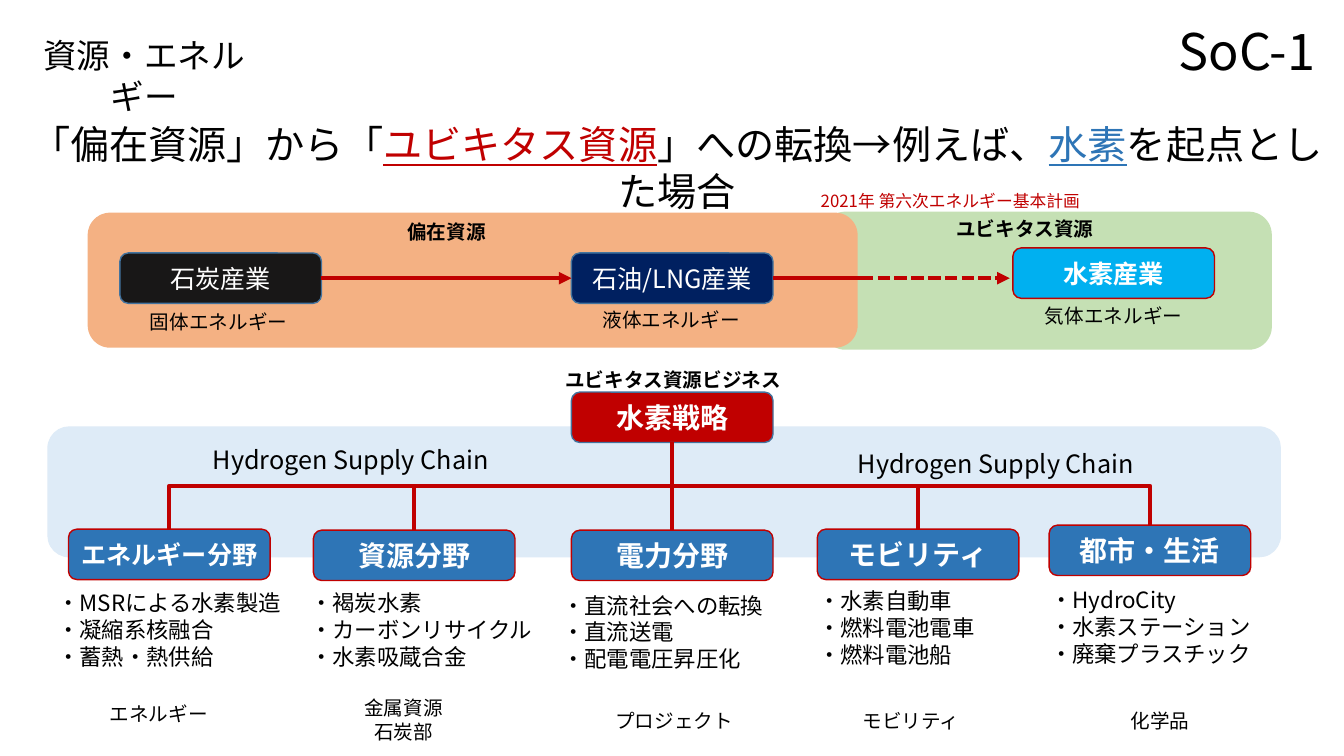
from dataclasses import dataclass
from lxml import etree
from pptx import Presentation
from pptx.dml.color import RGBColor
from pptx.enum.dml import MSO_LINE
from pptx.enum.shapes import MSO_CONNECTOR, MSO_SHAPE
from pptx.enum.text import MSO_ANCHOR, MSO_AUTO_SIZE, PP_ALIGN
from pptx.oxml.ns import qn
from pptx.util import Inches, Pt

ROUND = MSO_SHAPE.ROUNDED_RECTANGLE
STRAIGHT, ELBOW = MSO_CONNECTOR.STRAIGHT, MSO_CONNECTOR.ELBOW
DASH = MSO_LINE.SQUARE_DOT
LEFT, MID, RIGHT = PP_ALIGN.LEFT, PP_ALIGN.CENTER, PP_ALIGN.RIGHT
MIDDLE = MSO_ANCHOR.MIDDLE
GROW = MSO_AUTO_SIZE.SHAPE_TO_FIT_TEXT
CELL = Inches(0.5)
COLS, ROWS = 26.67, 15
BOX_W, BOX_H = 4, 1
BUS = 9.64


@dataclass(frozen=True)
class Theme:
    """Colours, type sizes and font of the slide."""
    font: str = "Noto Sans CJK JP"
    ink: str = "000000"
    white: str = "FFFFFF"
    red: str = "C00000"
    blue: str = "2E75B6"
    edge: str = "43739E"
    coal: str = "181717"
    navy: str = "002060"
    sky: str = "00B0F0"
    green: str = "C5E0B4"
    orange: str = "F4B183"
    pale: str = "DEEBF7"
    code: int = 36
    title: int = 28
    topic: int = 24
    head: int = 20
    body: int = 18
    item: int = 16
    label: int = 14
    note: int = 12


T = Theme()


def cell(n):
    """Turn grid cells into slide units."""
    return int(n * CELL)


def color(code):
    """Make a colour from its hex code."""
    return RGBColor.from_string(code)


class Board:
    """Draw themed elements on one slide, with lengths in grid cells."""

    def __init__(self, theme, slide):
        """Keep the theme and the slide."""
        self.theme, self.slide = theme, slide

    def style(self, run, size, ink, bold=False, under=False):
        """Format one run of text."""
        font = run.font
        font.size, font.bold, font.underline = Pt(size), bold, under
        font.color.rgb = color(ink)
        font.name = self.theme.font
        etree.SubElement(run._r.get_or_add_rPr(), qn("a:ea"), typeface=self.theme.font)

    def format(self, frame, size, ink, bold, align):
        """Format all text in a frame."""
        for para in frame.paragraphs:
            para.alignment = align
            for run in para.runs:
                self.style(run, size, ink, bold)

    def frame(self, x, y, w, h):
        """Add a text box and return its frame."""
        frame = self.slide.shapes.add_textbox(*map(cell, (x, y, w, h))).text_frame
        frame.word_wrap, frame.auto_size = True, GROW
        return frame

    def text(self, x, y, w, h, words, size, ink=None, bold=False, align=MID):
        """Add text in a single style."""
        frame = self.frame(x, y, w, h)
        frame.text = words
        self.format(frame, size, ink or self.theme.ink, bold, align)

    def mixed(self, x, y, w, h, parts, size):
        """Add a centred line of plain and underlined coloured parts."""
        para = self.frame(x, y, w, h).paragraphs[0]
        para.alignment = MID
        for words, ink in parts:
            run = para.add_run()
            run.text = words
            self.style(run, size, ink, under=ink != self.theme.ink)

    def panel(self, x, y, w, h, fill):
        """Add a rounded panel without outline."""
        shape = self.slide.shapes.add_shape(ROUND, *map(cell, (x, y, w, h)))
        shape.shadow.inherit = False
        shape.fill.solid()
        shape.fill.fore_color.rgb = color(fill)
        shape.line.fill.background()
        return shape

    def box(self, x, y, words, fill, edge, size, bold=True):
        """Add an outlined box with centred white text."""
        shape = self.panel(x, y, BOX_W, BOX_H, fill)
        shape.line.color.rgb = color(edge)
        shape.line.width = Pt(1)
        frame = shape.text_frame
        frame.text, frame.word_wrap, frame.vertical_anchor = words, True, MIDDLE
        self.format(frame, size, self.theme.white, bold, MID)
        return shape

    def line(self, x1, y1, x2, y2, arrow=False, dash=None, kind=STRAIGHT):
        """Add a red line, with an arrowhead on request."""
        link = self.slide.shapes.add_connector(kind, *map(cell, (x1, y1, x2, y2)))
        link.line.color.rgb = color(self.theme.red)
        link.line.width = Pt(3)
        if dash:
            link.line.dash_style = dash
        if arrow:
            etree.SubElement(link.line._get_or_add_ln(), qn("a:tailEnd"), type="triangle")
        etree.SubElement(link._element.spPr, qn("a:effectLst"))
        return link

    def branch(self, x1, y1, x2, y2):
        """Add a line that drops, turns at the bus and drops again."""
        if x1 == x2:
            return self.line(x1, y1, x2, y2)
        link = self.line(x1, y1, x2, y2, kind=ELBOW)
        run, drop = abs(x2 - x1), y2 - y1
        link.left, link.top = cell((x1 + x2 - drop) / 2), cell((y1 + y2 - run) / 2)
        link.width, link.height = cell(drop), cell(run)
        props = link._element.spPr
        xfrm = props.find(qn("a:xfrm"))
        for name in ("flipH", "flipV"):
            xfrm.attrib.pop(name, None)
        xfrm.set("rot", "5400000" if x2 < x1 else "16200000")
        if x2 > x1:
            xfrm.set("flipH", "1")
        turn = round((BUS - y1) / drop * 100000)
        guides = props.find(qn("a:prstGeom")).find(qn("a:avLst"))
        etree.SubElement(guides, qn("a:gd"), name="adj1", fmla=f"val {turn}")
        return link


FIELDS = [
    ((1.36, 10.5), "エネルギー分野", T.body, (0.94, 11.6, 5.12),
     "・MSRによる水素製造\n・凝縮系核融合\n・蓄熱・熱供給", (1.42, 13.82, 3.46), "エネルギー"),
    ((6.22, 10.52), "資源分野", T.head, (5.96, 11.6, 5.02),
     "・褐炭水素\n・カーボンリサイクル\n・水素吸蔵合金", (6.28, 13.72, 3.46), "金属資源\n石炭部"),
    ((11.34, 10.52), "電力分野", T.head, (10.96, 11.64, 4.78),
     "・直流社会への転換\n・直流送電\n・配電電圧昇圧化", (11.46, 13.96, 3.84), "プロジェクト"),
    ((16.22, 10.5), "モビリティ", T.head, (16.04, 11.56, 4.78),
     "・水素自動車\n・燃料電池電車\n・燃料電池船", (16.16, 13.96, 3.84), "モビリティ"),
    ((20.82, 10.42), "都市・生活", T.head, (20.64, 11.54, 4.78),
     "・HydroCity\n・水素ステーション\n・廃棄プラスチック", (21.1, 13.96, 3.84), "化学品"),
]


def header(board):
    """Draw the topic, the code and the title."""
    board.text(0, 0.6, 5.72, 1, "資源・エネルギー", T.topic)
    board.text(21.96, 0.3, 4.34, 1.42, "SoC-1", T.code, align=RIGHT)
    title = [("「偏在資源」から「", T.ink), ("ユビキタス資源", T.red),
             ("」への転換→例えば、", T.ink), ("水素", T.blue), ("を起点とした場合", T.ink)]
    board.mixed(0.18, 2.28, 26.5, 1.14, title, T.title)


def shift(board):
    """Draw the move from coal to hydrogen."""
    board.panel(16.32, 4.2, 8.92, 2.74, T.green)
    board.panel(1.74, 4.22, 15.28, 2.68, T.orange)
    for x, y, words, fill, edge, bold in [
            (2.38, 5.02, "石炭産業", T.coal, T.edge, False),
            (11.34, 5.02, "石油/LNG産業", T.navy, T.edge, False),
            (20.1, 4.92, "水素産業", T.sky, T.red, True)]:
        board.box(x, y, words, fill, edge, T.body, bold)
    for x, y, words in [(2.48, 6.06, "固体エネルギー"), (11.46, 6.02, "液体エネルギー"),
                        (20.24, 5.94, "気体エネルギー")]:
        board.text(x, y, 3.72, 0.68, words, T.label)
    for x, y, words in [(7.14, 4.26, "偏在資源"), (18.62, 4.2, "ユビキタス資源")]:
        board.text(x, y, 3.44, 0.68, words, T.label, bold=True)
    board.text(15.04, 3.68, 7.64, 0.6, "2021年 第六次エネルギー基本計画", T.note, T.red)
    for x1, x2, arrow, dash in [(6.38, 11.34, True, None), (15.34, 17.08, False, None),
                                (17.08, 20.04, True, DASH)]:
        board.line(x1, 5.52, x2, 5.52, arrow, dash)


def plan(board):
    """Draw the hydrogen strategy and its five fields."""
    board.panel(0.94, 8.46, 24.48, 2.6, T.pale)
    board.text(10.74, 7.2, 5.24, 0.68, "ユビキタス資源ビジネス", T.label, bold=True)
    x, y = 11.34, 7.78
    board.box(x, y, "水素戦略", T.red, T.edge, T.head)
    for left, top in [(2.4, 8.72), (15.2, 8.8)]:
        board.text(left, top, 9.12, 0.8, "Hydrogen Supply Chain", T.body)
    for spot, name, size, area, items, foot, unit in FIELDS:
        board.box(*spot, name, T.blue, T.red, size)
        board.branch(x + BOX_W / 2, y + BOX_H, spot[0] + BOX_W / 2, spot[1])
        board.text(*area, 1.82, items, T.item, align=LEFT)
        board.text(*foot, 0.68, unit, T.label)


def main():
    """Build and save the slide."""
    deck = Presentation()
    deck.slide_width, deck.slide_height = cell(COLS), cell(ROWS)
    board = Board(T, deck.slides.add_slide(deck.slide_layouts[6]))
    header(board)
    shift(board)
    plan(board)
    deck.save("out.pptx")


if __name__ == "__main__":
    main()
